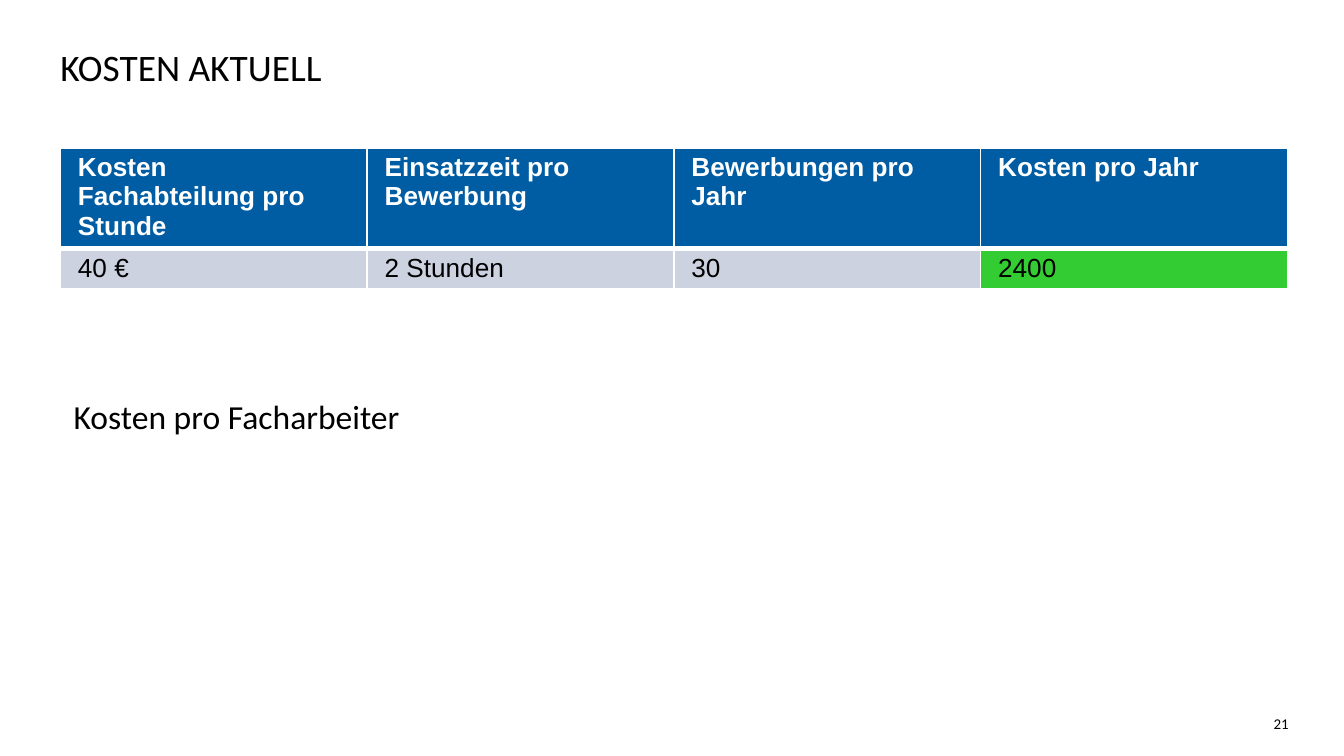
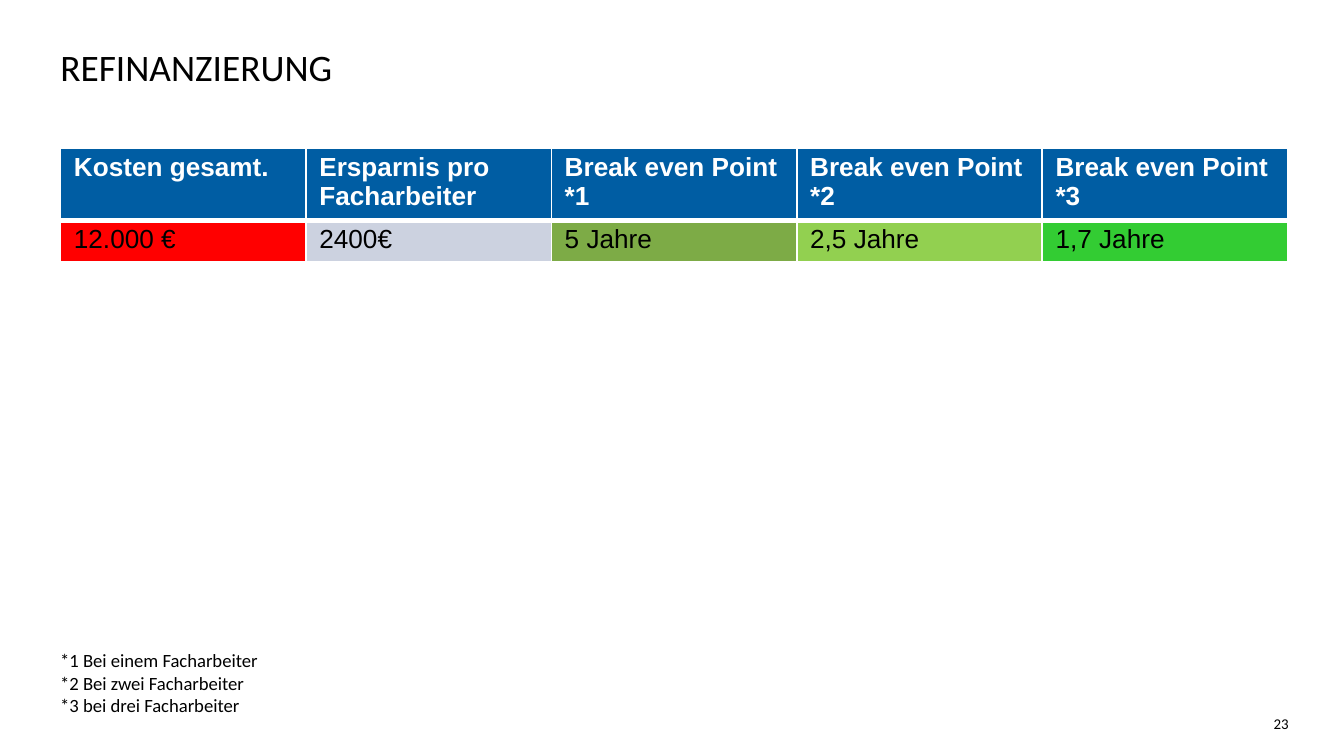
from lxml import etree
from pptx import Presentation
from pptx.dml.color import RGBColor
from pptx.enum.text import MSO_ANCHOR as ANCHOR, MSO_AUTO_SIZE as AUTO, PP_ALIGN as ALIGN
from pptx.oxml.ns import qn
from pptx.util import Inches, Pt

WHITE, BLACK = "FFFFFF", "000000"
BLUE, GREY, RED = "005DA3", "CCD2E0", "FF0000"
OLIVE, LIME, GREEN = "7DAB46", "92D050", "33CC33"

# Content: each column is header, value, fill of the value
SLIDES = [
    {
        "title": "KOSTEN AKTUELL",
        "page": "21",
        "columns": [
            ("Kosten Fachabteilung pro Stunde", "40 €", GREY),
            ("Einsatzzeit pro Bewerbung", "2 Stunden", GREY),
            ("Bewerbungen pro Jahr", "30", GREY),
            ("Kosten pro Jahr", "2400", GREEN),
        ],
        "header_height": 0.75,
        "cell_margin": 0.13,
        "note": ["Kosten pro Facharbeiter"],
        "note_box": (0.45, 2.9, 2.66, 0.4),
        "note_size": 18,
    },
    {
        "title": "REFINANZIERUNG",
        "page": "23",
        "columns": [
            ("Kosten gesamt.", "12.000 €", RED),
            ("Ersparnis pro Facharbeiter", "2400€", GREY),
            ("Break even Point *1", "5 Jahre", OLIVE),
            ("Break even Point *2", "2,5 Jahre", LIME),
            ("Break even Point *3", "1,7 Jahre", GREEN),
        ],
        "header_height": 0.53,
        "cell_margin": 0.1,
        "note": ["*1 Bei einem Facharbeiter",
                 "*2 Bei zwei Facharbeiter\n*3 bei drei Facharbeiter"],
        "note_box": (0.35, 4.78, 1.7, 0.61),
        "note_size": 10,
    },
]

# Shared layout
SLIDE_WIDTH = 10
SLIDE_HEIGHT = SLIDE_WIDTH * 9 / 16
TITLE_BOX = (0.35, 0.18, 9.25, 0.63)
PAGE_BOX = (6.52, 5.27, 3.07, 0.2)
TABLE_LEFT, TABLE_TOP, TABLE_WIDTH = 0.45, 1.1, 9.13
VALUE_HEIGHT = 0.3
THIN, THICK = 1, 3


def rgb(color):
    return RGBColor.from_string(color)


def write(tf, paragraphs, size, font="Calibri", color=BLACK, bold=False, align=None):
    for i, text in enumerate(paragraphs):
        p = tf.paragraphs[0] if i == 0 else tf.add_paragraph()
        p.text = text
        p.alignment = align
        for r in p.runs:
            r.font.size, r.font.name, r.font.bold = Pt(size), font, bold
            r.font.color.rgb = rgb(color)


def add_text(s, box, paragraphs, size, wrap=True, side_margin=0.1, anchor=ANCHOR.TOP, align=None):
    tf = s.shapes.add_textbox(*map(Inches, box)).text_frame
    tf.word_wrap = wrap
    tf.auto_size = AUTO.NONE if wrap else AUTO.SHAPE_TO_FIT_TEXT
    tf.margin_left = tf.margin_right = Inches(side_margin)
    tf.vertical_anchor = anchor
    write(tf, paragraphs, size, align=align)


def set_borders(cell, top, bottom):
    tc_pr = cell._tc.get_or_add_tcPr()
    for side, width in (("L", THIN), ("R", THIN), ("T", top), ("B", bottom)):
        ln = etree.SubElement(tc_pr, qn(f"a:ln{side}"), w=str(Pt(width)))
        fill = etree.SubElement(ln, qn("a:solidFill"))
        etree.SubElement(fill, qn("a:srgbClr"), val=WHITE)


def fill_cell(cell, text, fill, color, bold, margin, top, bottom):
    set_borders(cell, top, bottom)
    cell.fill.solid()
    cell.fill.fore_color.rgb = rgb(fill)
    cell.margin_left = cell.margin_right = Inches(margin)
    cell.margin_top = cell.margin_bottom = Pt(2.6)
    write(cell.text_frame, [text], 14, font="Arial", color=color, bold=bold)


def add_cost_table(s, columns, header_height, margin):
    heights = (header_height, VALUE_HEIGHT)
    table = s.shapes.add_table(
        2, len(columns), Inches(TABLE_LEFT), Inches(TABLE_TOP),
        Inches(TABLE_WIDTH), Inches(sum(heights))).table
    table.horz_banding = False
    for row, height in zip(table.rows, heights):
        row.height = Inches(height)
    for i, (header, value, fill) in enumerate(columns):
        table.columns[i].width = Inches(TABLE_WIDTH / len(columns))
        fill_cell(table.cell(0, i), header, BLUE, WHITE, True, margin, THIN, THICK)
        fill_cell(table.cell(1, i), value, fill, BLACK, False, margin, THICK, THIN)


def main():
    prs = Presentation()
    prs.slide_width, prs.slide_height = Inches(SLIDE_WIDTH), Inches(SLIDE_HEIGHT)
    for data in SLIDES:
        s = prs.slides.add_slide(prs.slide_layouts[6])
        add_cost_table(s, data["columns"], data["header_height"], data["cell_margin"])
        add_text(s, TITLE_BOX, [data["title"]], 20, anchor=ANCHOR.MIDDLE)
        add_text(s, PAGE_BOX, [data["page"]], 8, side_margin=0, align=ALIGN.RIGHT)
        add_text(s, data["note_box"], data["note"], data["note_size"], wrap=False)
    prs.save("out.pptx")


if __name__ == "__main__":
    main()
